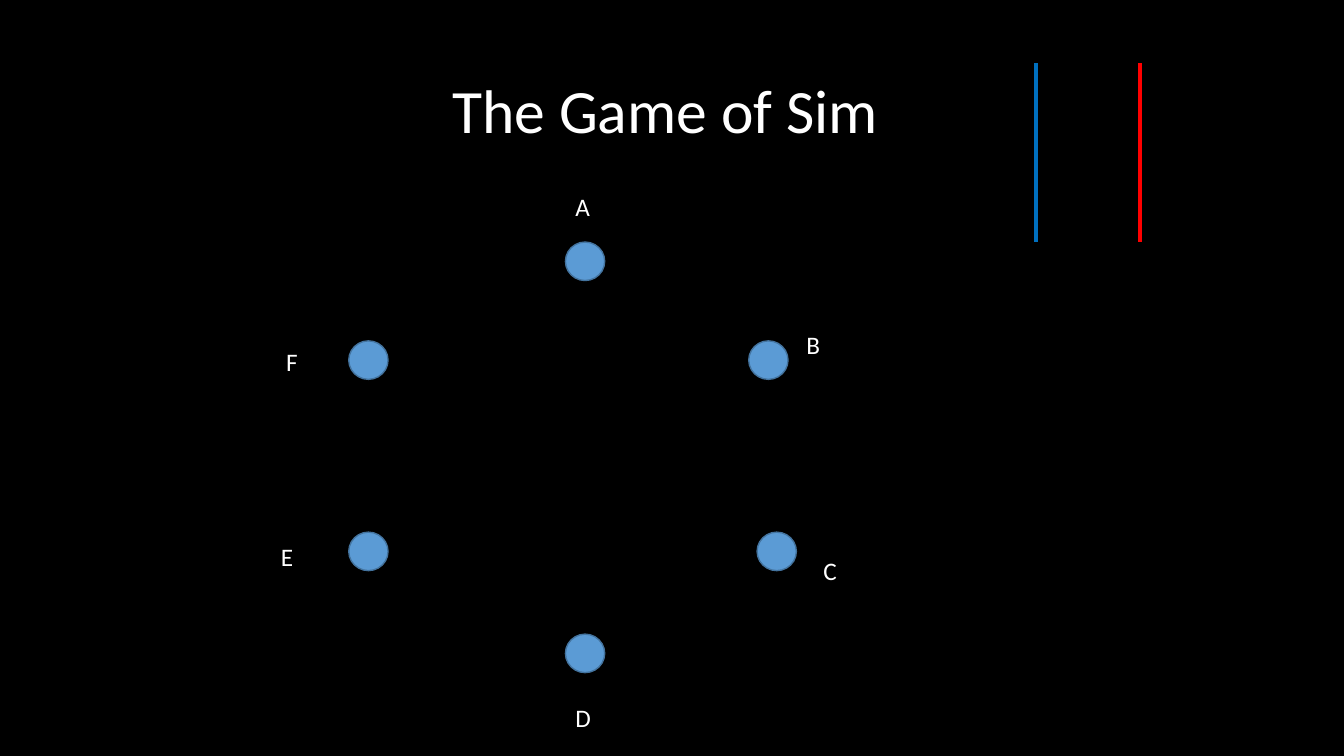
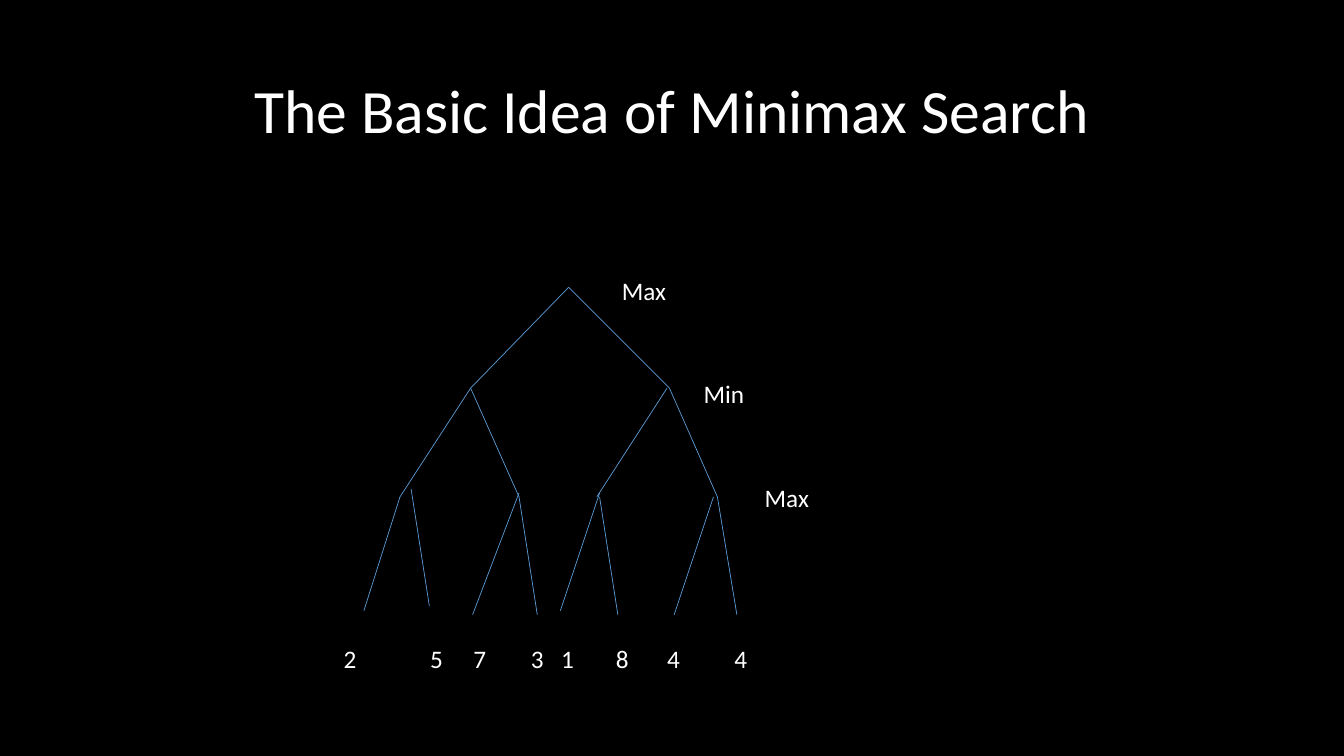
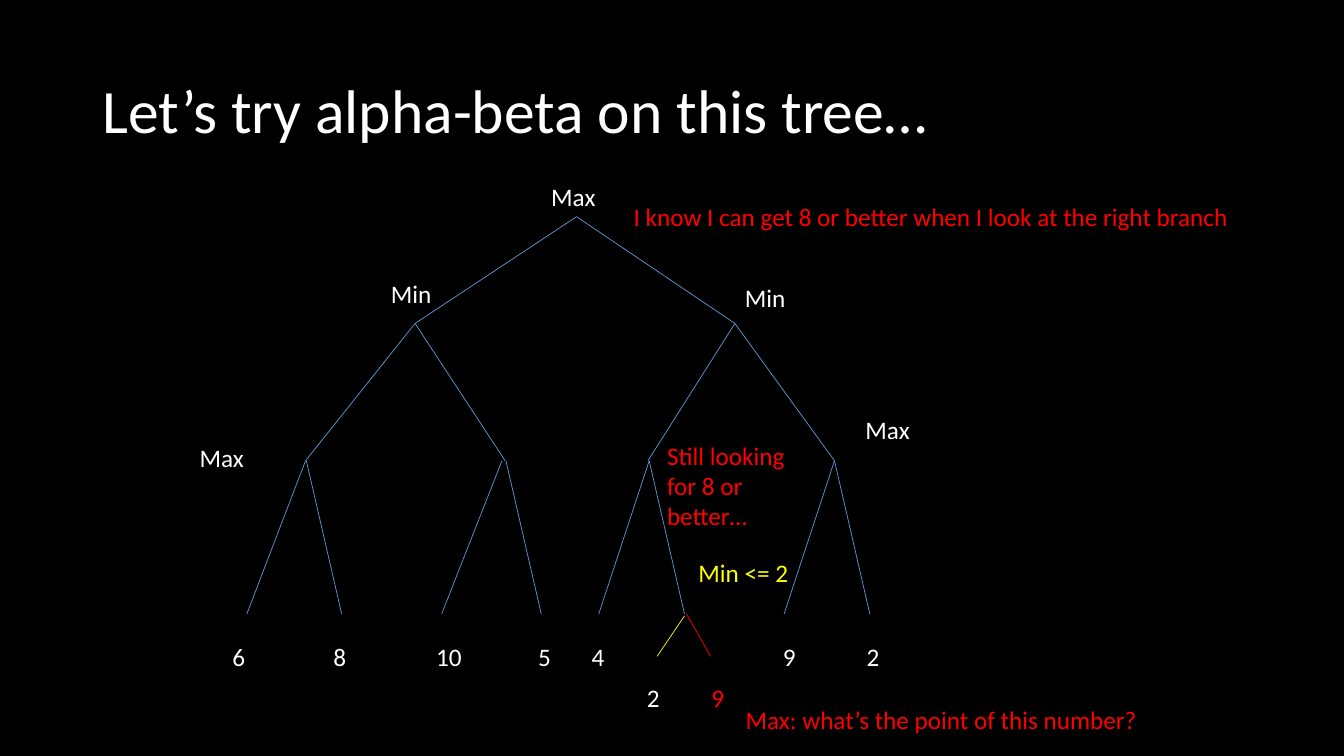
from typing import NamedTuple

from lxml.etree import SubElement
from pptx import Presentation
from pptx.dml.color import RGBColor
from pptx.enum.shapes import MSO_CONNECTOR as Link, MSO_SHAPE as Form
from pptx.enum.text import MSO_ANCHOR as Anchor, MSO_AUTO_SIZE as Fit, PP_ALIGN as Align
from pptx.oxml.ns import qn
from pptx.slide import Slide
from pptx.util import Cm, Pt

# Shared look
FONT = "Calibri"
BLACK, WHITE = "000000", "FFFFFF"
SKY, STEEL, BLUE = "5B9BD5", "43739E", "0070C0"
RED, YELLOW = "FF0000", "FFFF00"
ROW = 1.02
MAX_W, MIN_W, DIGIT_W = 1.63, 1.55, 0.84


class Label(NamedTuple):
    text: str
    x: float
    y: float
    w: float
    h: float = ROW
    color: str = WHITE
    wrap: bool = False


class Edge(NamedTuple):
    """Branch between two levels; rise and lift raise its ends."""
    top: float
    foot: float
    rise: float = 0
    lift: float = 0


class Dot(NamedTuple):
    x: float
    y: float


def rgb(code: str) -> RGBColor:
    return RGBColor.from_string(code)


def write(slide: Slide, text: str, x: float, y: float, w: float, h: float = ROW, *,
          size: float = 18, color: str = WHITE, wrap: bool = False, align: Align = Align.LEFT,
          anchor: Anchor = Anchor.TOP, fit: Fit = Fit.SHAPE_TO_FIT_TEXT,
          space: float = 1.0) -> None:
    frame = slide.shapes.add_textbox(Cm(x), Cm(y), Cm(w), Cm(h)).text_frame
    frame.word_wrap, frame.auto_size, frame.vertical_anchor = wrap, fit, anchor
    frame.text = text
    for para in frame.paragraphs:
        para.alignment, para.line_spacing = align, space
        for run in para.runs:
            run.font.name, run.font.size = FONT, Pt(size)
            run.font.color.rgb = rgb(color)


def line(slide: Slide, x1: float, y1: float, x2: float, y2: float,
         color: str = SKY, width: float = 0.5) -> None:
    link = slide.shapes.add_connector(Link.STRAIGHT, Cm(x1), Cm(y1), Cm(x2), Cm(y2))
    link.line.color.rgb, link.line.width = rgb(color), Pt(width)
    SubElement(link._element.spPr, qn("a:effectLst"))


def disc(slide: Slide, dot: Dot) -> None:
    shape = slide.shapes.add_shape(Form.OVAL, Cm(dot.x), Cm(dot.y), Cm(0.99), Cm(0.97))
    shape.shadow.inherit = False
    shape.fill.solid()
    shape.fill.fore_color.rgb = rgb(SKY)
    shape.line.color.rgb, shape.line.width = rgb(STEEL), Pt(1)


def tree(slide: Slide, levels: list[float], rows: list[list[Edge]]) -> None:
    for high, low, row in zip(levels, levels[1:], rows):
        for edge in row:
            line(slide, edge.top, high - edge.rise, edge.foot, low - edge.lift)


def notes(slide: Slide, labels: list[Label]) -> None:
    for tag in labels:
        write(slide, tag.text, tag.x, tag.y, tag.w, tag.h, color=tag.color, wrap=tag.wrap)


def digits(slide: Slide, y: float, marks: list[tuple[str, float]]) -> None:
    for text, x in marks:
        write(slide, text, x, y, DIGIT_W)


def start(title: str, align: Align = Align.CENTER) -> Slide:
    slide = deck.slides.add_slide(deck.slide_layouts[6])
    write(slide, title, 2.34, 1.02, 29.21, 3.68, size=44, wrap=True, align=align,
          anchor=Anchor.MIDDLE, fit=Fit.NONE, space=0.9)
    return slide


deck = Presentation()
deck.slide_width, deck.slide_height = Cm(33.87), Cm(19.05)
ground = deck.slide_master.background.fill
ground.solid()
ground.fore_color.rgb = rgb(BLACK)

# Slide 1: six points and two pen colours
game = start("The Game of Sim ")
for spot in [Dot(8.79, 8.59), Dot(14.25, 6.1), Dot(18.87, 8.59),
             Dot(8.79, 13.41), Dot(19.08, 13.41), Dot(14.25, 15.98)]:
    disc(game, spot)
for x, ink in [(26.11, BLUE), (28.73, RED)]:
    line(game, x, 1.6, x, 6.1, ink, 2.5)
notes(game, [
    Label("A", 14.25, 4.7, 0.89), Label("B", 20.07, 8.18, 0.86),
    Label("C", 20.5, 13.87, 0.86), Label("D", 14.25, 17.58, 0.91),
    Label("E", 6.83, 13.51, 0.81), Label("F", 6.96, 8.59, 0.81),
])

# Slide 2: minimax tree
search = start("The Basic Idea of Minimax Search")
tree(search, [7.24, 9.78, 12.52, 15.49], [
    [Edge(14.33, 16.87), Edge(14.33, 11.86)],
    [Edge(11.86, 10.08), Edge(11.86, 13.08), Edge(16.81, 15.04), Edge(16.87, 18.08)],
    [Edge(10.08, 9.17, 0, 0.1), Edge(10.36, 10.82, 0.2, 0.22),
     Edge(13.08, 11.91, 0.1), Edge(13.08, 13.54),
     Edge(15.11, 14.12, 0.1, 0.1), Edge(15.11, 15.57),
     Edge(17.98, 16.99), Edge(18.08, 18.57)],
])
notes(search, [
    Label("Max", 15.42, 6.81, MAX_W), Label("Min", 17.48, 9.42, MIN_W),
    Label("Max", 19.02, 12.04, MAX_W),
])
digits(search, 16.08, [("2", 8.41), ("5", 10.59), ("7", 11.68), ("3", 13.13),
                       ("1", 13.89), ("8", 15.27), ("4", 16.56), ("4", 18.26)])

# Slide 3: alpha-beta tree with remarks
prune = start("Let’s try alpha-beta on this tree…", Align.LEFT)
tree(prune, [5.46, 8.15, 11.61, 15.47], [
    [Edge(14.53, 10.46), Edge(14.53, 18.52)],
    [Edge(10.46, 7.7), Edge(18.52, 16.33), Edge(10.46, 12.73), Edge(18.52, 21.03)],
    [Edge(7.7, 6.22), Edge(12.65, 11.13), Edge(16.36, 15.09), Edge(21.03, 19.76),
     Edge(7.72, 8.61), Edge(12.75, 13.64), Edge(16.36, 17.25), Edge(21.03, 21.92)],
])
line(prune, 17.25, 15.52, 16.56, 16.54, YELLOW)
line(prune, 17.3, 15.47, 17.91, 16.54, RED)
digits(prune, 16.03, [("6", 5.61), ("8", 8.15), ("4", 14.66), ("9", 19.48), ("2", 21.59)])
notes(prune, [
    Label("Max", 13.64, 4.45, MAX_W), Label("Min", 9.6, 6.88, MIN_W),
    Label("Min", 18.52, 6.99, MIN_W), Label("Max", 21.56, 10.31, MAX_W),
    Label("Max", 4.78, 11.02, MAX_W), Label("10", 10.74, 16.03, 1.17),
    Label("5", 13.31, 16.03, 0.91, wrap=True),
    Label("I know I can get 8 or better when I look at the right branch",
          15.72, 4.95, 15.7, color=RED),
    Label("2", 16.05, 17.07, DIGIT_W), Label("9", 17.68, 17.07, DIGIT_W, color=RED),
    Label("Still looking\nfor 8 or\nbetter…", 16.56, 10.97, 3.51, 2.57, RED),
    Label("Min <= 2", 17.35, 13.92, 2.97, 1.8, YELLOW, True),
    Label("Max: what’s the point of this number?", 18.54, 17.63, 10.49, color=RED),
])

deck.save("out.pptx")
